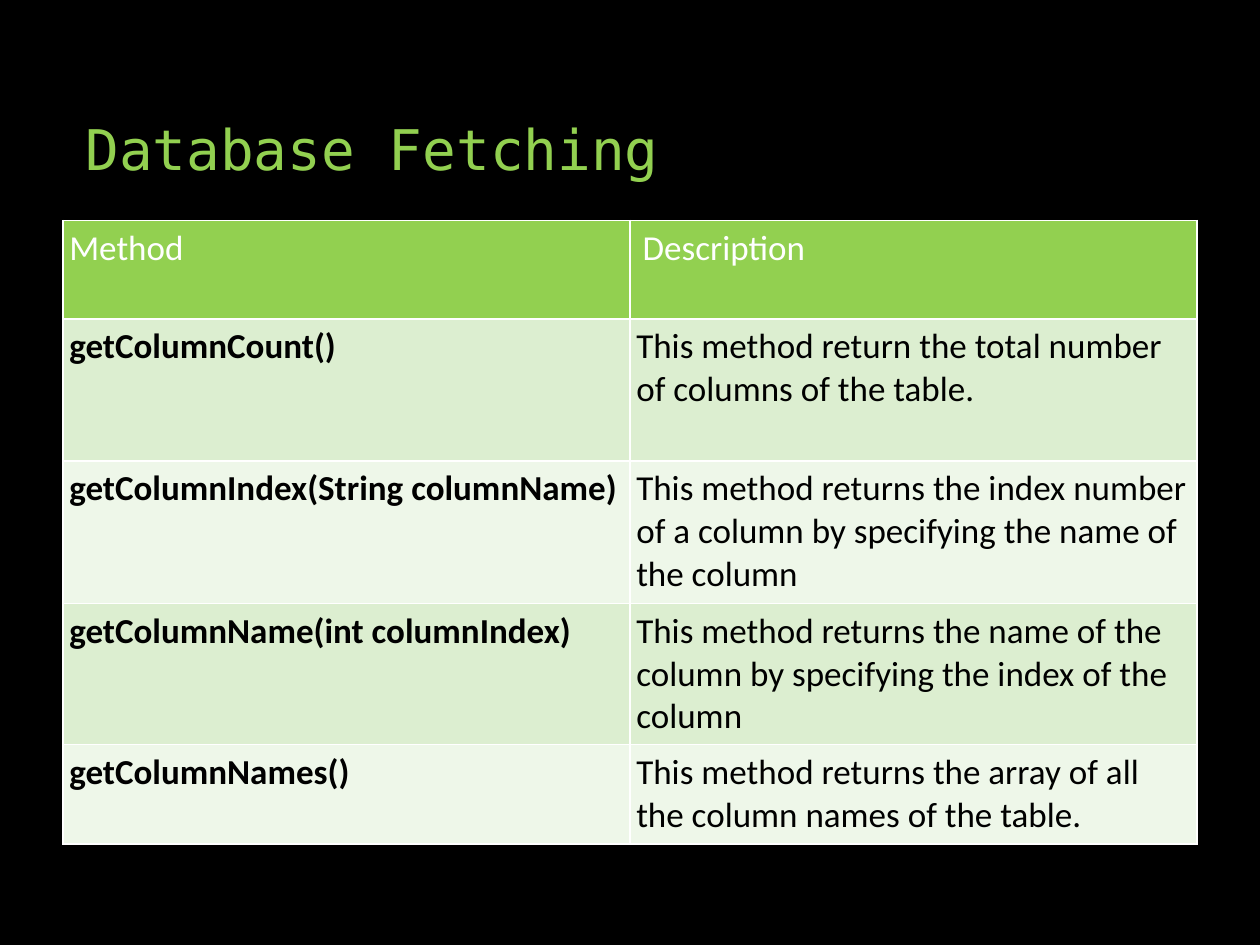
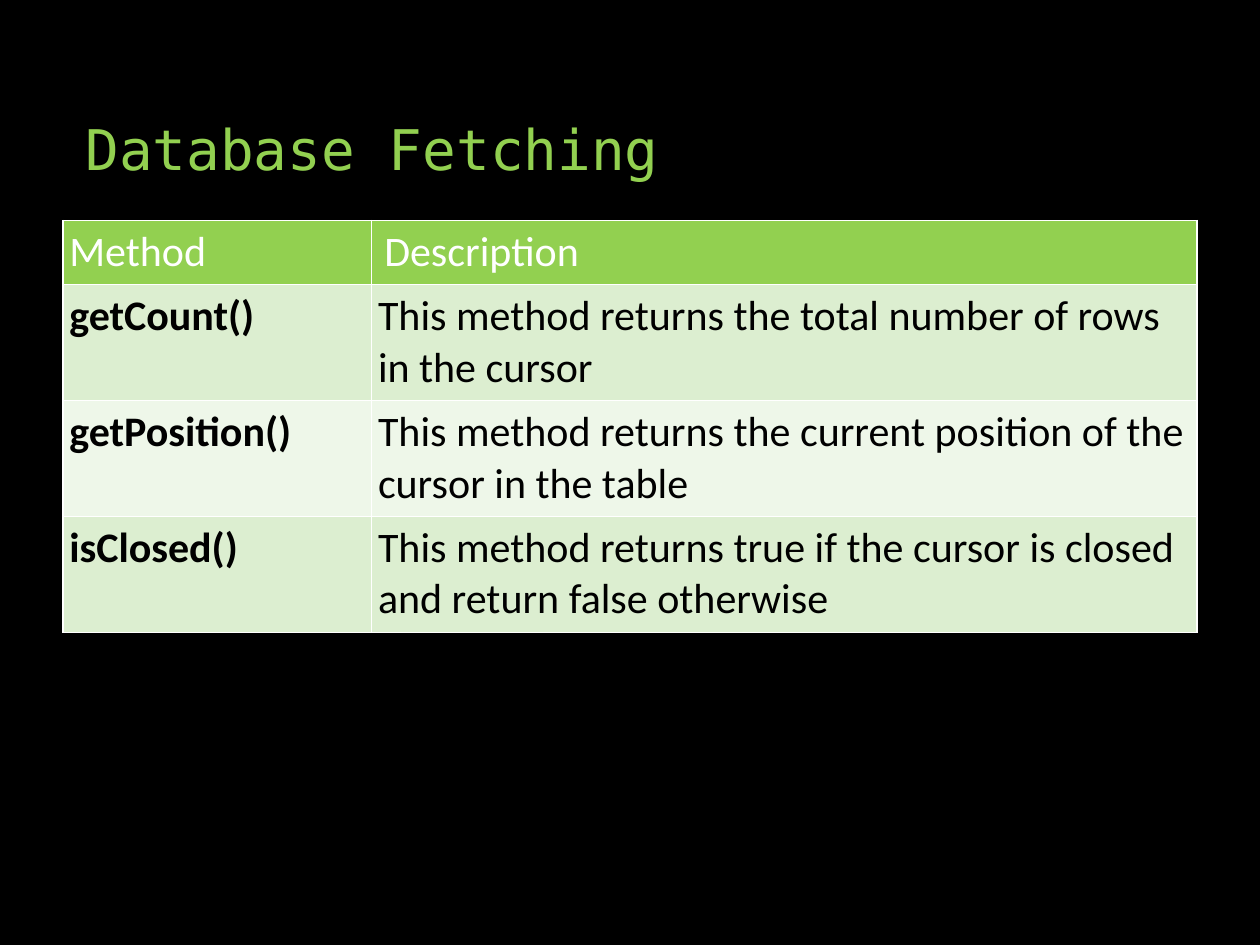
from lxml.etree import SubElement
from pptx import Presentation
from pptx.dml.color import RGBColor
from pptx.enum.text import MSO_ANCHOR
from pptx.oxml.ns import qn
from pptx.util import Inches, Pt

COLORS = {
    "background": "000000",
    "accent": "92D050",
    "band_dark": "DCEED0",
    "band_light": "EEF7E9",
    "border": "FFFFFF",
    "header_text": "FFFFFF",
    "body_text": "000000",
}
TITLE_FONT = "DejaVu Sans Mono"
TABLE_FONT = "Calibri"
HEADER = ("Method", "Description")


def rgb(name):
    return RGBColor.from_string(COLORS[name])


class Deck:
    """Holds the shared style and the slide being built."""

    def __init__(self):
        self.prs = Presentation()
        self.prs.slide_width = Inches(10)
        self.prs.slide_height = Inches(7.5)
        self.s = None

    def slide(self, title):
        self.s = self.prs.slides.add_slide(self.prs.slide_layouts[6])
        fill = self.s.background.fill
        fill.solid()
        fill.fore_color.rgb = rgb("background")
        self.title(title)

    def title(self, text):
        box = self.s.shapes.add_textbox(
            Inches(0.58), Inches(0.5), Inches(8.67), Inches(1))
        tf = box.text_frame
        tf.word_wrap = True
        tf.vertical_anchor = MSO_ANCHOR.BOTTOM
        p = tf.paragraphs[0]
        p.text = text
        p.line_spacing = 0.9
        self.font(p, TITLE_FONT, 32, "accent")

    def font(self, p, name, size, color, bold=False):
        p.font.name = name
        p.font.size = Pt(size)
        p.font.color.rgb = rgb(color)
        p.font.bold = bold

    def table(self, methods, widths, heights, size):
        rows = [HEADER, *methods]
        table = self.s.shapes.add_table(
            len(rows), len(widths), Inches(0.5), Inches(1.75),
            Inches(sum(widths)), Inches(sum(heights))).table
        for column, width in zip(table.columns, widths):
            column.width = Inches(width)
        for i, (row, height) in enumerate(zip(rows, heights)):
            table.rows[i].height = Inches(height)
            for j, text in enumerate(row):
                self.cell(table.cell(i, j), text, size, i, j)

    def cell(self, cell, text, size, row, column):
        is_header = row == 0
        band = "band_dark" if row % 2 else "band_light"
        cell.fill.solid()
        cell.fill.fore_color.rgb = rgb("accent" if is_header else band)
        cell.margin_top = cell.margin_bottom = Inches(0.05)
        side = 0.1 if is_header and column == 1 else 0.05
        cell.margin_left = cell.margin_right = Inches(side)
        p = cell.text_frame.paragraphs[0]
        p.text = text
        self.font(p, TABLE_FONT, size,
                  "header_text" if is_header else "body_text",
                  bold=not is_header and column == 0)
        self.borders(cell)

    def borders(self, cell):
        # Border lines must come before the fill in the cell properties
        props = cell._tc.get_or_add_tcPr()
        for i, edge in enumerate(("a:lnL", "a:lnR", "a:lnT", "a:lnB")):
            line = SubElement(props, qn(edge), w=str(Pt(1)))
            fill = SubElement(line, qn("a:solidFill"))
            SubElement(fill, qn("a:srgbClr"), val=COLORS["border"])
            props.insert(i, line)


def main():
    deck = Deck()

    # Column methods
    deck.slide("Database Fetching")
    deck.table(
        [
            ("getColumnCount()",
             "This method return the total number of columns of the table."),
            ("getColumnIndex(String columnName)",
             "This method returns the index number of a column by specifying "
             "the name of the column"),
            ("getColumnName(int columnIndex)",
             "This method returns the name of the column by specifying "
             "the index of the column"),
            ("getColumnNames()",
             "This method returns the array of all the column names "
             "of the table."),
        ],
        widths=(4.5, 4.5), heights=(0.78, 1.13, 1.13, 1.12, 0.79), size=20)

    # Cursor methods
    deck.slide("Database Fetching")
    deck.table(
        [
            ("getCount()",
             "This method returns the total number of rows in the cursor"),
            ("getPosition()",
             "This method returns the current position of the cursor "
             "in the table"),
            ("isClosed()",
             "This method returns true if the cursor is closed "
             "and return false otherwise"),
        ],
        widths=(2.45, 6.55), heights=(0.51, 0.92, 0.92, 0.92), size=24)

    deck.prs.save("out.pptx")


if __name__ == "__main__":
    main()
